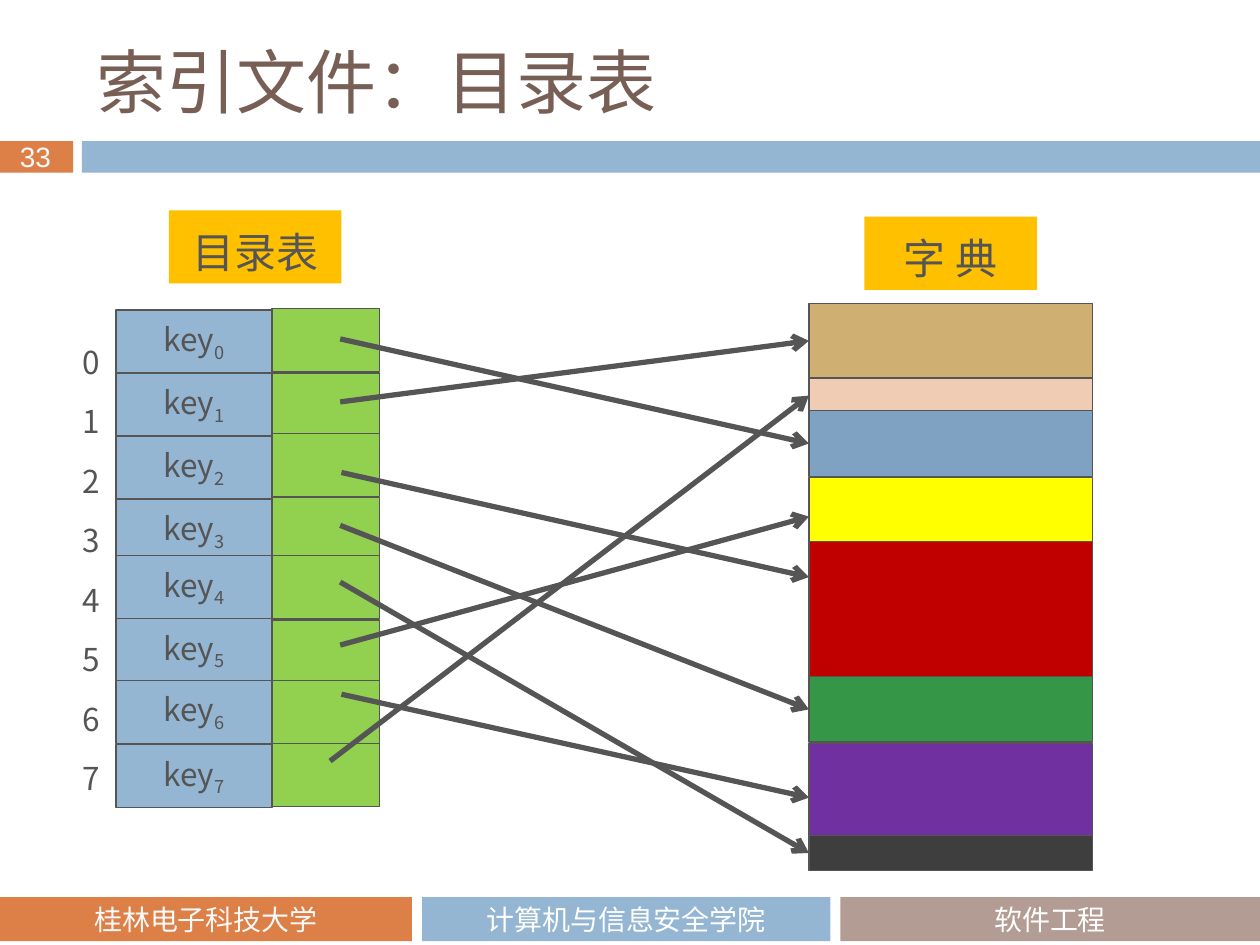
from dataclasses import dataclass

from lxml import etree
from pptx import Presentation
from pptx import util as u
from pptx.dml.color import RGBColor
from pptx.enum import shapes, text
from pptx.oxml.ns import qn

SCALE = 9144  # EMU per px, 100 px to the inch


@dataclass(frozen=True)
class Theme:
    ink: str = "555555"
    title: str = "775F55"
    white: str = "FFFFFF"
    pale: str = "F9F9F9"
    orange: str = "DD8047"
    blue: str = "94B6D2"
    taupe: str = "B29C93"
    lime: str = "92D050"
    gold: str = "FFC000"
    sans: str = "Noto Sans CJK SC"
    head: str = "Noto Sans CJK JP"
    foot: str = "Calibri"
    num: str = "Arial"
    big: int = 40
    label: int = 24
    body: int = 18
    small: int = 16
    lead: int = 34
    thin: float = 0.75
    thick: float = 3


T = Theme()
MID = text.MSO_ANCHOR.MIDDLE
CENTER = text.PP_ALIGN.CENTER

# Tops of the key cell and the pointer cell in each row
ROWS = [(246, 245), (296, 296), (346, 344), (396, 395),
        (441, 441), (491, 492), (540, 540), (591, 590)]
# Top, height and fill of each dictionary block
BLOCKS = [(241, 59, "D0AF72"), (300, 28, "F1CCB5"), (326, 52, "7FA2C3"),
          (379, 52, "FFFF00"), (430, 107, "C00000"), (537, 52, "369648"),
          (590, 73, "7030A0"), (663, 28, "3E3E3E")]
# Start x, start y, block, and end y where it is not the block's middle
LINKS = [(270, 269, 2, None), (270, 319, 0, None), (271, 375, 4, 458),
         (270, 417, 5, None), (270, 462, 7, None), (270, 512, 3, 410),
         (271, 551, 6, 633), (262, 604, 1, None)]


def px(*vals):
    return [u.Emu(v * SCALE) for v in vals]


def rgb(tint):
    return RGBColor.from_string(tint)


def style(para, font, size, tint, align=None, lead=None):
    para.alignment = align
    if lead:
        para.line_spacing = u.Pt(lead)
    para.font.name = font
    para.font.size = u.Pt(size)
    para.font.color.rgb = rgb(tint)
    face = para._p.pPr.find(qn("a:defRPr"))
    etree.SubElement(face, qn("a:ea")).set("typeface", T.sans if font != T.head else font)


def rect(slide, box, fill, edge=False):
    shape = slide.shapes.add_shape(shapes.MSO_SHAPE.RECTANGLE, *px(*box))
    shape.shadow.inherit = False
    shape.fill.solid()
    shape.fill.fore_color.rgb = rgb(fill)
    if edge:
        shape.line.color.rgb = rgb(T.ink)
        shape.line.width = u.Pt(T.thin)
    else:
        shape.line.fill.background()
    return shape


def label(slide, box, fill, words, *look, **kind):
    para = rect(slide, box, fill).text_frame.paragraphs[0]
    para.text = words
    style(para, *look, align=CENTER, **kind)


def note(slide, box, lines, *look, wrap=True, anchor=None, **kind):
    frame = slide.shapes.add_textbox(*px(*box)).text_frame
    frame.word_wrap = wrap
    frame.vertical_anchor = anchor
    frame.text = "\n".join(lines)
    for para in frame.paragraphs:
        style(para, *look, **kind)


def key(slide, top, index):
    para = rect(slide, (92, top, 124, 50), T.blue, True).text_frame.paragraphs[0]
    style(para, T.sans, T.body, T.ink, CENTER)
    para.add_run().text = "key"
    sub = para.add_run()
    sub.text = str(index)
    sub._r.get_or_add_rPr().set("baseline", "-25000")


def arrow(slide, x, y, block, end):
    """Link to the middle of the block's left side, or to height end if given."""
    mid = block.top + block.height // 2
    goal = mid if end is None else px(end)[0]
    line = slide.shapes.add_connector(
        shapes.MSO_CONNECTOR.STRAIGHT, *px(x, y), block.left, goal)
    if end is None:
        line.end_connect(block, 1)
    line.line.color.rgb = rgb(T.ink)
    line.line.width = u.Pt(T.thick)
    etree.SubElement(line.line._get_or_add_ln(), qn("a:tailEnd")).set("type", "arrow")
    etree.SubElement(line._element.spPr, qn("a:effectLst"))


def frame(slide):
    rect(slide, (0, 112, 58, 25), T.orange)
    rect(slide, (65, 112, 935, 25), T.blue)
    note(slide, (6, 106, 48, 37), ["33"], T.num, T.small, T.pale, wrap=False)
    note(slide, (67, 25, 892, 78), ["索引文件：目录表"],
         T.head, T.big, T.title, anchor=MID)
    for left, width, fill, words, tint in [
            (0, 327, T.orange, "桂林电子科技大学", T.pale),
            (335, 324, T.blue, "计算机与信息安全学院", T.white),
            (667, 333, T.taupe, "软件工程", T.white)]:
        label(slide, (left, 712, width, 35), fill, words, T.foot, T.small, tint)


def main():
    deck = Presentation()
    deck.slide_width, deck.slide_height = px(1000, 750)
    slide = deck.slides.add_slide(deck.slide_layouts[6])
    frame(slide)
    for index, (top, side) in enumerate(ROWS):
        key(slide, top, index)
        rect(slide, (216, side, 85, 50), T.lime, True)
    note(slide, (56, 250, 35, 392), [str(n) for n in range(len(ROWS))],
         T.sans, T.body, T.ink, lead=T.lead)
    for left, top, words in [(134, 167, "目录表"), (686, 172, "字 典")]:
        label(slide, (left, top, 137, 58), T.gold, words,
              T.sans, T.label, T.ink, lead=T.lead)
    blocks = [rect(slide, (642, top, 225, high), fill, True)
              for top, high, fill in BLOCKS]
    for x, y, index, end in LINKS:
        arrow(slide, x, y, blocks[index], end)
    deck.save("out.pptx")


if __name__ == "__main__":
    main()
